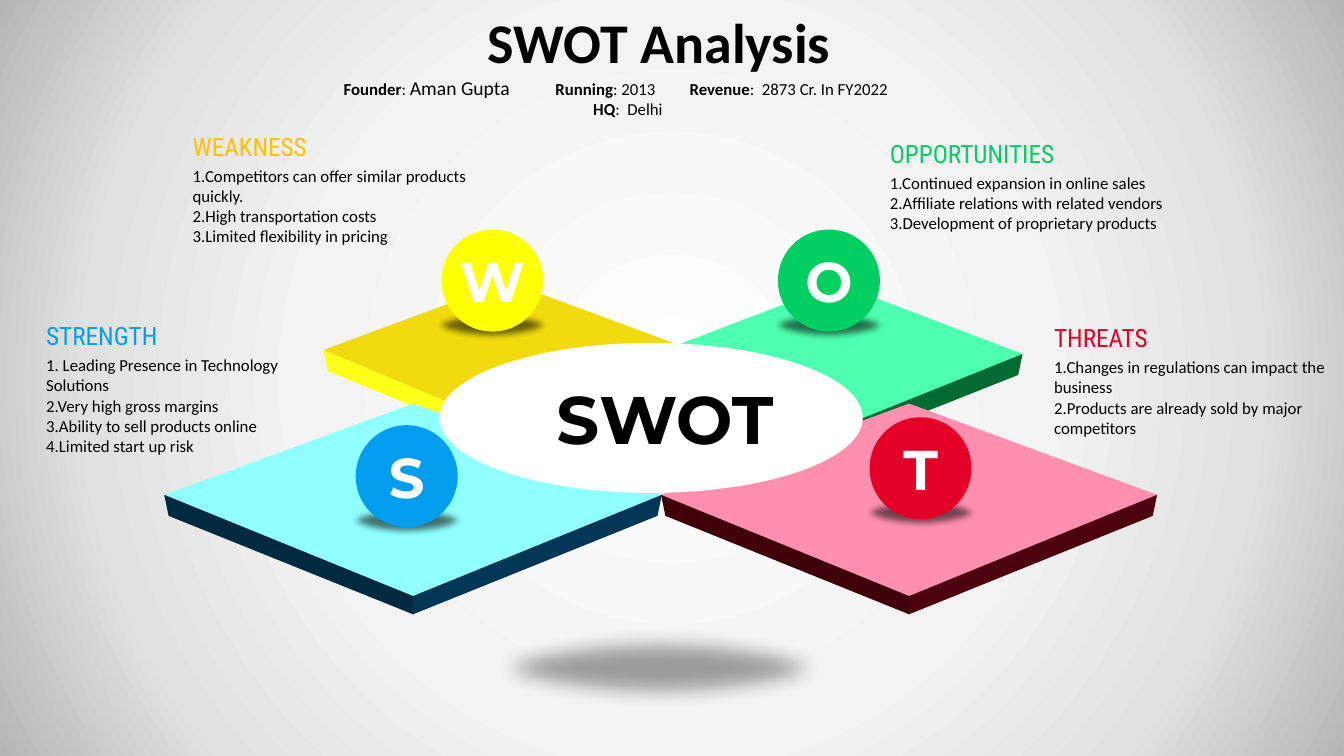
from lxml import etree
from pptx import Presentation, util as u
from pptx.dml.color import RGBColor
from pptx.enum import shapes, text
from pptx.oxml import ns, parse_xml

COLORS = {
    "black": "000000", "white": "FFFFFF", "gold": "FFC000",
    "blue": "029EED", "yellow": "FFFF00", "green": "01CF62", "red": "E30127",
}
BACKDROP = [(0, "FFFFFF"), (48, "F3F3F3"), (76, "E1E1E1"), (100, "B6B6B6")]


def paint(shape, color):
    shape.shadow.inherit = False
    shape.fill.solid()
    shape.fill.fore_color.rgb = RGBColor.from_string(color)
    shape.line.fill.background()


def style(span, size, color, font="Calibri", bold=False):
    span.font.size = u.Pt(size)
    span.font.name = font
    span.font.bold = bold
    span.font.color.rgb = RGBColor.from_string(color)


deck = Presentation()
deck.slide_width, deck.slide_height = u.Cm(33.87), u.Cm(19.05)
page = deck.slides.add_slide(deck.slide_layouts.get_by_name("Comparison"))

page.background.fill.solid()
backdrop = page.background._cSld.find(ns.qn("p:bg")).find(ns.qn("p:bgPr"))
stops = "".join(
    f'<a:gs pos="{place * 1000}"><a:srgbClr val="{color}"/></a:gs>'
    for place, color in BACKDROP
)
backdrop.replace(backdrop[0], parse_xml(
    f'<a:gradFill {ns.nsdecls("a")} rotWithShape="1"><a:gsLst>{stops}</a:gsLst>'
    '<a:path path="circle"><a:fillToRect l="50000" t="50000" r="50000" b="50000"/>'
    "</a:path></a:gradFill>"
))

title = page.shapes.title
title.left, title.top, title.width, title.height = map(u.Cm, (8.61, 0.05, 16, 1.95))
title.text_frame.text = "SWOT Analysis"
title.text_frame.vertical_anchor = text.MSO_ANCHOR.TOP
title.text_frame.paragraphs[0].alignment = text.PP_ALIGN.CENTER
style(title.text_frame.paragraphs[0].runs[0], 40, COLORS["black"], bold=True)

facts = page.shapes.add_textbox(u.Cm(8.41), u.Cm(1.78), u.Cm(14.83), u.Cm(1.35))
facts.text_frame.word_wrap = True
para = facts.text_frame.paragraphs[0]
tabs = etree.SubElement(para._p.get_or_add_pPr(), ns.qn("a:tabLst"))
for position in (5.34, 8.72):
    etree.SubElement(tabs, ns.qn("a:tab"), pos=str(u.Cm(position)), algn="l")
for label, value, size in [
    ("Founder", ": |Aman Gupta\t", 14), ("Running", ": 2013\t", 12),
    ("Revenue", ":  2873 Cr. In FY2022", 12), ("HQ", ":  Delhi", 12),
]:
    if label == "HQ":
        para = facts.text_frame.add_paragraph()
        para.alignment = text.PP_ALIGN.CENTER
    span = para.add_run()
    span.text = label
    style(span, 12, COLORS["black"], bold=True)
    for part in value.split("|"):
        span = para.add_run()
        span.text = part
        style(span, 12 if part == ": " else size, COLORS["black"])

lists = [
    ("STRENGTH", "blue", 0.91, 7.95, [
        "1. Leading Presence in Technology Solutions", "2.Very high gross margins",
        "3.Ability to sell products online", "4.Limited start up risk"]),
    ("WEAKNESS", "gold", 4.6, 3.18, [
        "1.Competitors can offer similar products quickly.",
        "2.High transportation costs", "3.Limited flexibility in pricing"]),
    ("OPPORTUNITIES", "green", 22.17, 3.35, [
        "1.Continued expansion in online sales",
        "2.Affiliate relations with related vendors",
        "3.Development of proprietary products"]),
    ("THREATS", "red", 26.31, 8, [
        "1.Changes in regulations can impact the business",
        "2.Products are already sold by major competitors"]),
]
bodies = [box for box in page.placeholders if 1 <= box.placeholder_format.idx <= 4]
for box, (heading, color, left, top, items) in zip(bodies, lists):
    box.left, box.top, box.width, box.height = map(u.Cm, (left, top, 7.5, 3.6))
    frame = box.text_frame
    frame.text = "\n".join([heading] + items)
    frame.word_wrap = True
    frame.auto_size = text.MSO_AUTO_SIZE.NONE
    frame.vertical_anchor = text.MSO_ANCHOR.TOP
    for para in frame.paragraphs:
        para.space_before = para.space_after = u.Pt(0)
        para.alignment = text.PP_ALIGN.LEFT
        props = para._p.get_or_add_pPr()
        props.set("marL", "0")
        props.set("indent", "0")
        etree.SubElement(props, ns.qn("a:buNone"))
        style(para.runs[0], 12, COLORS["black"])
    frame.paragraphs[0].space_after = u.Pt(3)
    style(frame.paragraphs[0].runs[0], 18, COLORS[color], "Roboto Condensed")

slabs = [
    (21.12, 8.92, 4.65, 1.77, 1.87, "4DFFB0", "006A33", "006A33"),
    (12.8, 8.82, 4.65, 1.72, 1.95, "F1DA0E", "FFFF1A", "FFFF1A"),
    (10.41, 12.47, 6.27, 2.3, 2.55, "8FFFFF", "002A3F", "003656"),
    (22.91, 12.47, 6.25, 2.3, 2.55, "FF8FAF", "3F000C", "4D000F"),
]
for x, y, half, rise, drop, top_color, left_color, right_color in slabs:
    bottom = (x, y + drop)
    faces = [(top_color, [(x - half, y), (x, y - rise), (x + half, y), bottom])]
    for side, color in ((-1, left_color), (1, right_color)):
        faces.append((color, [
            (x + side * half, y), bottom, (x, y + drop + 0.46),
            (x + side * (half - 0.11), y + 0.53)]))
    for color, corners in faces:
        points = [(u.Cm(across), u.Cm(down)) for across, down in corners]
        outline = page.shapes.build_freeform(*points[0])
        outline.add_line_segments(points[1:], close=True)
        paint(outline.convert_to_shape(), color)

badges = [
    ("S", "blue", 10.25, 12), ("W", "yellow", 12.41, 7.07),
    ("O", "green", 20.89, 7.07), ("T", "red", 23.2, 11.8),
]
shadows = [(16.6, 16.82, 9.6, 2.1, 37, 0.5)]
shadows += [(x, y + 1.12, 3.2, 0.84, 56, 0.17) for _, _, x, y in badges]
for x, y, width, height, alpha, blur in shadows:
    shade = page.shapes.add_shape(
        shapes.MSO_SHAPE.OVAL, u.Cm(x - width / 2), u.Cm(y - height / 2),
        u.Cm(width), u.Cm(height))
    paint(shade, COLORS["black"])
    tint = shade._element.spPr.find(".//" + ns.qn("a:solidFill"))[0]
    etree.SubElement(tint, ns.qn("a:alpha"), val=str(alpha * 1000))
    effects = shade._element.spPr.find(ns.qn("a:effectLst"))
    etree.SubElement(effects, ns.qn("a:softEdge"), rad=str(u.Cm(blur)))

discs = [("SWOT", "white", "black", 16.41, 10.53, 10.67, 3.78, 48)]
discs += [(letter, color, "white", x, y, 2.57, 2.57, 40) for letter, color, x, y in badges]
for label, color, ink, x, y, width, height, size in discs:
    disc = page.shapes.add_shape(
        shapes.MSO_SHAPE.OVAL, u.Cm(x - width / 2), u.Cm(y - height / 2),
        u.Cm(width), u.Cm(height))
    paint(disc, COLORS[color])
    frame = disc.text_frame
    frame.margin_left = frame.margin_right = frame.margin_top = frame.margin_bottom = 0
    frame.word_wrap = False
    frame.vertical_anchor = text.MSO_ANCHOR.MIDDLE
    frame.text = label
    frame.paragraphs[0].alignment = text.PP_ALIGN.CENTER
    style(frame.paragraphs[0].runs[0], size, COLORS[ink], "Montserrat", True)
    if label == "SWOT":
        frame.margin_left = u.Cm(0.7)

deck.save("out.pptx")
